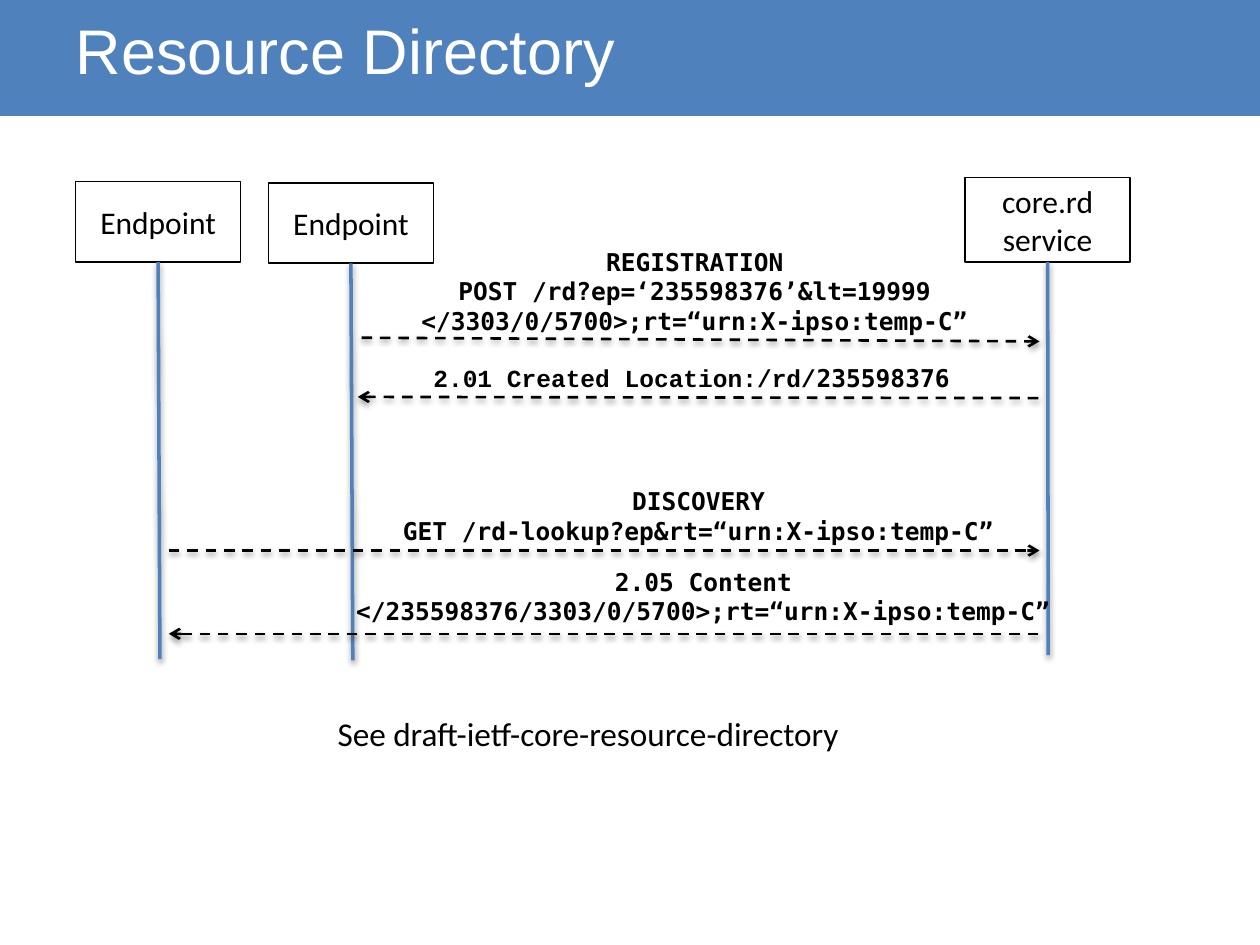
import pptx
import pptx.util
import pptx.dml.color
import pptx.enum.dml
import pptx.enum.shapes
import pptx.enum.text
import pptx.oxml
import pptx.oxml.ns

Pt = pptx.util.Pt
PP_ALIGN = pptx.enum.text.PP_ALIGN
RECTANGLE = pptx.enum.shapes.MSO_SHAPE.RECTANGLE
STRAIGHT = pptx.enum.shapes.MSO_CONNECTOR.STRAIGHT
BLUE = pptx.dml.color.RGBColor(0x4F, 0x81, 0xBD)
BLACK = pptx.dml.color.RGBColor(0, 0, 0)
WHITE = pptx.dml.color.RGBColor(0xFF, 0xFF, 0xFF)
MONO = "DejaVu Sans Mono"


def format_font(font, name, size, color, bold=False):
    font.name = name
    font.size = Pt(size)
    font.color.rgb = color
    font.bold = bold


def add_label(left, top, width, height, wrap):
    label = slide.shapes.add_textbox(Pt(left), Pt(top), Pt(width), Pt(height))
    label.text_frame.word_wrap = wrap
    label.text_frame.auto_size = pptx.enum.text.MSO_AUTO_SIZE.SHAPE_TO_FIT_TEXT
    return label.text_frame


presentation = pptx.Presentation()
presentation.slide_width = Pt(720)
presentation.slide_height = Pt(540)
slide = presentation.slides.add_slide(presentation.slide_layouts[5])

banner = slide.shapes.add_shape(RECTANGLE, 0, 0, Pt(720), Pt(66.2))
banner.shadow.inherit = False
banner.fill.solid()
banner.fill.fore_color.rgb = BLUE
banner.line.fill.background()
slide.shapes._spTree.insert(2, banner._element)

title = slide.shapes.title
title.left, title.top, title.width, title.height = Pt(36), Pt(-16.6), Pt(648), Pt(90)
title.text_frame.text = "Resource Directory"
title.text_frame.vertical_anchor = pptx.enum.text.MSO_ANCHOR.MIDDLE
title.text_frame.paragraphs[0].alignment = PP_ALIGN.LEFT
format_font(title.text_frame.paragraphs[0].font, "Arial", 36, WHITE)

participants = [
    ("Endpoint", 43.2, 103.7, 46.1, 91.4, 376.6),
    ("Endpoint", 153.4, 104.4, 46.1, 201.6, 377.3),
    ("core.rd service", 551.5, 101.5, 48.3, 599, 374.4),
]
for name, left, top, height, foot_x, foot_y in participants:
    box = slide.shapes.add_shape(RECTANGLE, Pt(left), Pt(top), Pt(94.3), Pt(height))
    box.shadow.inherit = False
    box.fill.background()
    box.line.color.rgb = BLACK
    box.line.width = Pt(1)
    box.text_frame.text = name
    box.text_frame.word_wrap = True
    box.text_frame.vertical_anchor = pptx.enum.text.MSO_ANCHOR.MIDDLE
    box.text_frame.paragraphs[0].alignment = PP_ALIGN.CENTER
    format_font(box.text_frame.paragraphs[0].font, "Calibri", 18, BLACK)

    lifeline = slide.shapes.add_connector(
        STRAIGHT, Pt(left + 47.15), Pt(top + height), Pt(foot_x), Pt(foot_y))
    lifeline.begin_connect(box, 2)
    lifeline.line.color.rgb = BLUE
    lifeline.line.width = Pt(2)

messages = [
    (206.6, 193, 594, 195.1),
    (593.3, 227.5, 204.5, 226.8),
    (96.5, 314.6, 594, 314.6),
    (593.3, 362.2, 96.5, 362.2),
]
for start_x, start_y, end_x, end_y in messages:
    message = slide.shapes.add_connector(
        STRAIGHT, Pt(start_x), Pt(start_y), Pt(end_x), Pt(end_y))
    message.line.color.rgb = BLACK
    message.line.width = Pt(1.5)
    message.line.dash_style = pptx.enum.dml.MSO_LINE.DASH
    arrowhead = pptx.oxml.parse_xml(
        f'<a:tailEnd {pptx.oxml.ns.nsdecls("a")} type="arrow"/>')
    message.line._get_or_add_ln().append(arrowhead)

captions = [
    (204.5, 137.5, 385.2, 58.3,
     ["REGISTRATION", "POST /rd?ep=‘235598376’&lt=19999",
      "</3303/0/5700>;rt=“urn:X-ipso:temp-C”"]),
    (203.8, 274.3, 391, 41,
     ["DISCOVERY", "GET /rd-lookup?ep&rt=“urn:X-ipso:temp-C”"]),
    (188.6, 320.4, 427, 41,
     ["2.05 Content", "</235598376/3303/0/5700>;rt=“urn:X-ipso:temp-C”"]),
]
for left, top, width, height, lines in captions:
    caption = add_label(left, top, width, height, True)
    caption.text = "\n".join(lines)
    for paragraph in caption.paragraphs:
        paragraph.alignment = PP_ALIGN.CENTER
        format_font(paragraph.font, MONO, 14, BLACK, True)

created = add_label(235.4, 203.8, 319.7, 24.5, False).paragraphs[0]
created.alignment = PP_ALIGN.CENTER
for text, font_name in [("2.01 Created Location:/rd/", "Courier New"), ("235598376", MONO)]:
    run = created.add_run()
    run.text = text
    format_font(run.font, font_name, 14, BLACK, True)

reference = add_label(184.3, 403.2, 312.5, 31.7, False)
reference.margin_left = reference.margin_right = Pt(8.64)
reference.margin_top = reference.margin_bottom = Pt(4.32)
reference.text = "See draft-ietf-core-resource-directory"
format_font(reference.paragraphs[0].font, "Calibri", 19, BLACK)

presentation.save("out.pptx")
